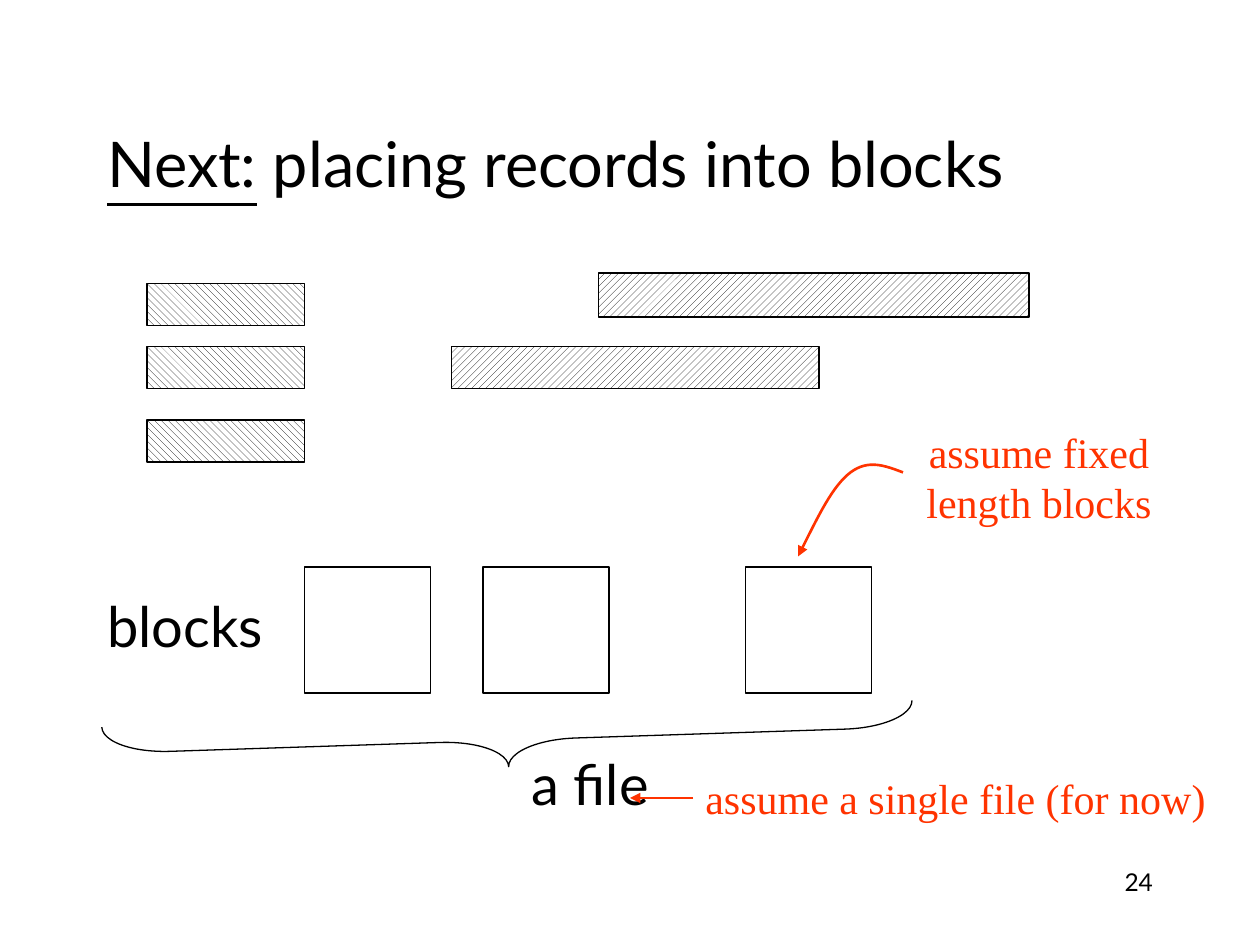
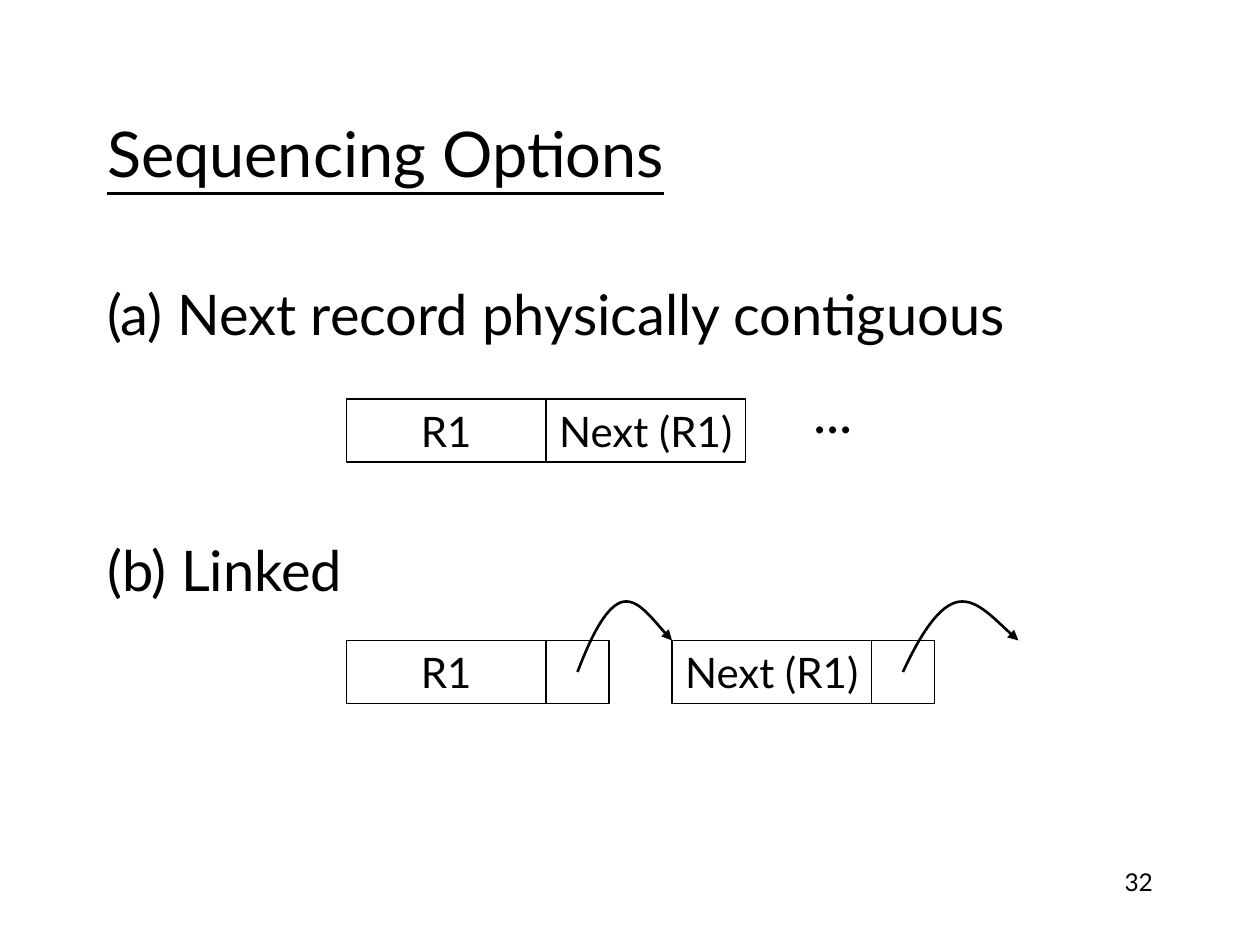
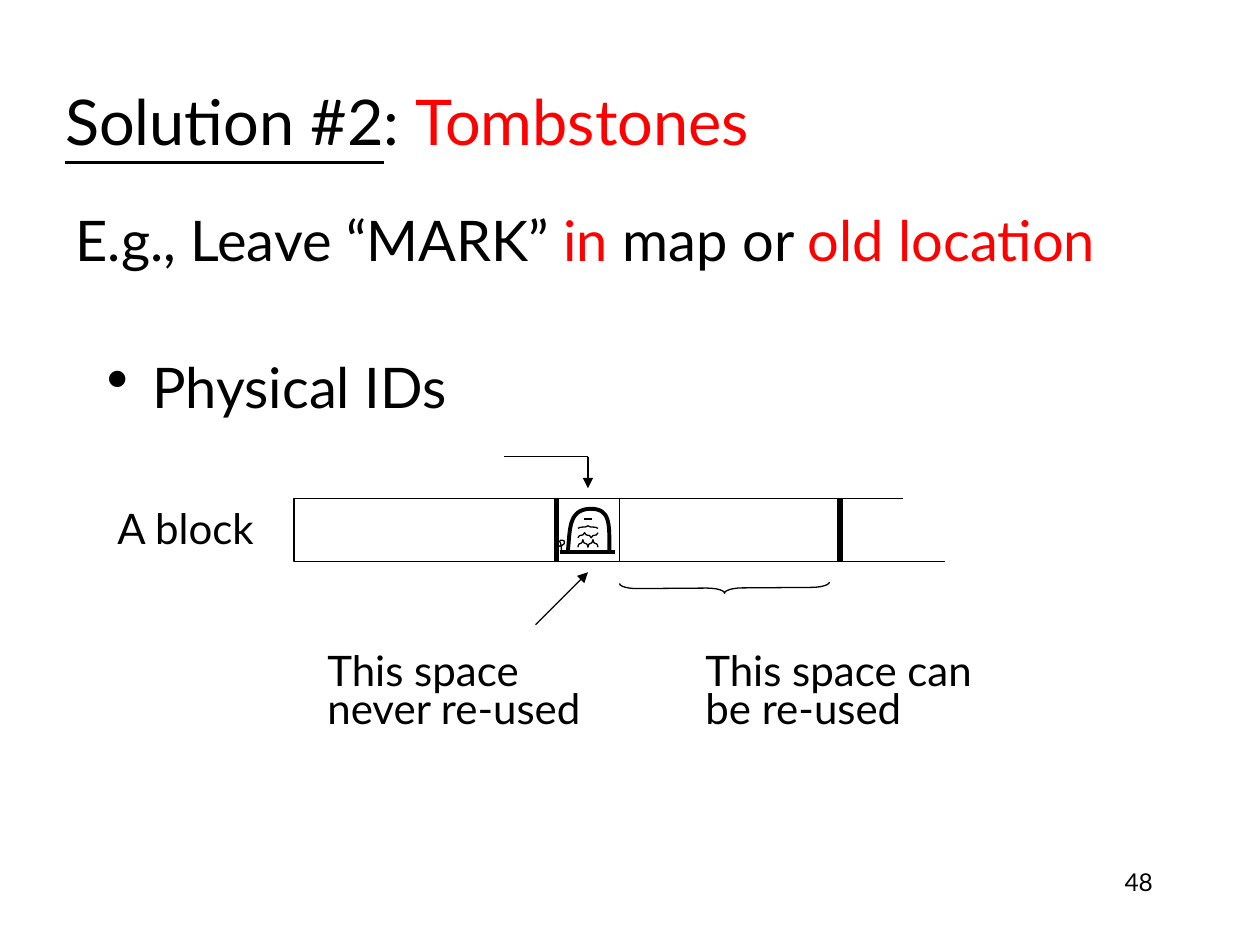
from collections import namedtuple

from lxml import etree
from pptx import Presentation
from pptx.dml.color import RGBColor
from pptx.enum.dml import MSO_PATTERN
from pptx.enum.shapes import MSO_CONNECTOR, MSO_SHAPE
from pptx.enum.text import MSO_ANCHOR, MSO_AUTO_SIZE, PP_ALIGN
from pptx.oxml.ns import qn
from pptx.util import Inches, Pt

COLORS = {"ink": "000000", "paper": "FFFFFF", "note": "FF3300", "stress": "FF0000"}
FONT = "Lato"
NOTE_FONT = "Times New Roman"
LEFT, CENTER, RIGHT = PP_ALIGN.LEFT, PP_ALIGN.CENTER, PP_ALIGN.RIGHT
TOP, MIDDLE = MSO_ANCHOR.TOP, MSO_ANCHOR.MIDDLE
RECTANGLE, BRACE = MSO_SHAPE.RECTANGLE, MSO_SHAPE.RIGHT_BRACE
STRAIGHT = MSO_CONNECTOR.STRAIGHT
DOWN_HATCH = MSO_PATTERN.WIDE_DOWNWARD_DIAGONAL
UP_HATCH = MSO_PATTERN.WIDE_UPWARD_DIAGONAL
NO_FIT = MSO_AUTO_SIZE.NONE
LEFT_SIDE = 1

# The slide is a grid of 120 columns and 90 rows of square cells.
COLUMNS, ROWS = 120, 90
WIDTH, HEIGHT = Inches(10), Inches(7.5)
Box = namedtuple("Box", "left top width height")
BODY_BOX = Box(9, 26, 102, 54)


def rgb(name):
    return RGBColor.from_string(COLORS[name])


def column(count):
    return round(WIDTH * count / COLUMNS)


def row(count):
    return round(HEIGHT * count / ROWS)


def place(box):
    return column(box.left), row(box.top), column(box.width), row(box.height)


def write(frame, *lines, size=24, font=FONT, color="ink", align=LEFT, anchor=TOP,
          wrap=True):
    """Fill a frame; a line is a string or a list of (text, color, underline)."""
    frame.auto_size = NO_FIT
    frame.word_wrap = wrap
    frame.vertical_anchor = anchor
    for index, line in enumerate(lines):
        para = frame.add_paragraph() if index else frame.paragraphs[0]
        para.alignment = align
        para.space_before = Pt(0)
        for text, tint, underline in [(line, color, False)] if isinstance(line, str) else line:
            span = para.add_run()
            span.text = text
            span.font.size = Pt(size)
            span.font.name = font
            span.font.color.rgb = rgb(tint)
            span.font.underline = underline
    return frame


def set_bullet(para, margin=0.0, hanging=0.0, mark=None):
    properties = para._p.get_or_add_pPr()
    properties.set("marL", str(Inches(margin)))
    properties.set("indent", str(-Inches(hanging)))
    if mark:
        etree.SubElement(properties, qn("a:buSzPct"), val="112000")
        etree.SubElement(properties, qn("a:buChar"), char=mark)
    else:
        etree.SubElement(properties, qn("a:buNone"))


def add_label(page, box, *lines, **style):
    label = page.shapes.add_textbox(*place(box))
    write(label.text_frame, *lines, **style)
    return label


def style_line(item, color="ink", weight=0.75, arrow=False):
    item.line.color.rgb = rgb(color)
    item.line.width = Pt(weight)
    if arrow:
        outline = item._element.spPr.find(qn("a:ln"))
        etree.SubElement(outline, qn("a:tailEnd"), type="triangle")


def add_box(page, box, text=None, hatch=None):
    shape = page.shapes.add_shape(RECTANGLE, *place(box))
    shape.shadow.inherit = False
    if hatch:
        shape.fill.patterned()
        shape.fill.pattern = hatch
        shape.fill.fore_color.rgb = rgb("ink")
        shape.fill.back_color.rgb = rgb("paper")
    else:
        shape.fill.solid()
        shape.fill.fore_color.rgb = rgb("paper")
    style_line(shape)
    if text:
        write(shape.text_frame, text, align=CENTER, anchor=MIDDLE, wrap=False)


def add_brace(page, box, rotation, curl):
    brace = page.shapes.add_shape(BRACE, *place(box))
    brace.shadow.inherit = False
    brace.fill.background()
    brace.rotation = rotation
    brace.adjustments[0] = curl
    style_line(brace)


def add_line(page, start, end, **style):
    line = page.shapes.add_connector(
        STRAIGHT, column(start[0]), row(start[1]), column(end[0]), row(end[1]))
    style_line(line, **style)
    etree.SubElement(line._element.spPr, qn("a:effectLst"))
    return line


def add_curve(page, box, points, **style):
    """Draw cubic bends through shares of a box: a start, then two handles and an end each."""
    start, *rest = [(column(box.left + x * box.width), row(box.top + y * box.height))
                    for x, y in points]
    builder = page.shapes.build_freeform(*start)
    builder.add_line_segments(rest, close=False)
    curve = builder.convert_to_shape()
    legs = list(curve._element.iter(qn("a:lnTo")))
    for first, second, third in zip(legs[::3], legs[1::3], legs[2::3]):
        first.tag = qn("a:cubicBezTo")
        for leg in (second, third):
            first.append(leg[0])
            leg.getparent().remove(leg)
    curve.shadow.inherit = False
    curve.fill.background()
    style_line(curve, **style)


def start_page(deck, number, title, title_box):
    page = deck.slides.add_slide(deck.slide_layouts[1])
    heading = page.shapes.title
    heading.left, heading.top, heading.width, heading.height = place(title_box)
    write(heading.text_frame, title, size=36, anchor=MIDDLE)
    add_label(page, Box(86, 82, 25, 6), number, size=14, align=RIGHT)
    return page


def fill_body(page, box, *lines):
    body = page.placeholders[1]
    body.left, body.top, body.width, body.height = place(box)
    frame = write(body.text_frame, *lines, size=32)
    for para in frame.paragraphs:
        set_bullet(para)
    return frame


def draw_records(page, box):
    for top in (1, 7, 14):
        add_box(page, Box(box.left, box.top + top, 15, 4), hatch=DOWN_HATCH)
    for left, top, width, height in ((43, 0, 41, 4.2), (29, 7, 35, 4)):
        add_box(page, Box(box.left + left, box.top + top, width, height), hatch=UP_HATCH)


def draw_file(page, box):
    """Blocks of a file in a row, gathered by a brace, with notes beside them."""
    left, top = box.left, box.top
    for offset in (0, 17, 42):
        add_box(page, Box(left + offset, top, box.height, box.height))
    add_brace(page, Box(left + 16.84, top - 22.1, 5.04, 77.2), 88.1, 1.28)
    note = {"color": "note", "font": NOTE_FONT, "align": CENTER, "anchor": MIDDLE,
            "wrap": False}
    pointed = {"color": "note", "weight": 1.5, "arrow": True}
    add_label(page, Box(left + 58, top - 14, 23.9, 10.8),
              "assume fixed", "length blocks", **note)
    bend = [(1, 0), (0.83, -0.08), (0.67, -0.16), (0.5, 0),
            (0.33, 0.16), (0.17, 0.58), (0, 1)]
    add_curve(page, Box(left + 47, top - 9, 10, 8), bend, **pointed)
    single = add_label(page, Box(left + 37, top + 19, 50, 6),
                       "assume a single file (for now)", **note)
    pointer = add_line(page, (left + 37, top + 22), (left + 31, top + 22), **pointed)
    pointer.begin_connect(single, LEFT_SIDE)


def draw_contiguous(page, box):
    for index, text in enumerate(("R1", "Next (R1)")):
        add_box(page, Box(box.left + 19 * index, box.top, 19, box.height), text)
    add_label(page, Box(box.left + 43.3, box.top - 2.6, 10, 7), "...", size=32)


def draw_linked(page, box):
    """Records that each end in a pointer cell, from which an arrow hops on."""
    hop = [(0, 1), (0.14, 0.45), (0.29, 0), (0.45, -0.1),
           (0.62, -0.2), (0.81, 0.2), (1, 0.5)]
    for offset, text, reach in ((0, "R1", 9), (31, "Next (R1)", 11)):
        left = box.left + offset
        add_box(page, Box(left, box.top, 19, box.height), text)
        add_box(page, Box(left + 19, box.top, 6, box.height))
        add_curve(page, Box(left + 22, box.top - 3, reach, 6), hop,
                  weight=1.5, arrow=True)


def draw_tombstone(page, box):
    """A rounded stone on the ground with wavy writing and a flower beside it."""
    ground = box.top + 0.84 * box.height
    add_line(page, (box.left + 0.3, ground), (box.left + 5.6, ground), weight=2.25)
    stone = [(0.18, 0.84), (0.22, 0.5), (0.18, 0.17), (0.54, 0.16),
             (0.86, 0.16), (0.84, 0.4), (0.84, 0.84)]
    add_curve(page, box, stone, weight=2.25)
    flower = [(0.08, 0.84), (0.08, 0.6), (0, 0.66), (0.02, 0.74),
              (0.1, 0.8), (0.2, 0.64), (0.06, 0.66)]
    add_curve(page, box, flower)
    for line, bends in enumerate((1, 2, 3, 4)):
        steps = 3 * bends
        start = 0.34 if line else 0.44
        wave = [(start + (1 - 2 * start) * step / steps,
                 0.32 + 0.13 * line + 0.02 * line * (-1) ** step)
                for step in range(steps + 1)]
        add_curve(page, box, wave)


def draw_block(page, box):
    """A block with a marked cell, freed space after it and an open end."""
    left, top, bottom = box.left, box.top, box.top + box.height
    grave = Box(left + 25, top, 6, box.height)
    center = grave.left + grave.width / 2
    end = left + box.width
    for cell in (Box(left, top, 25, box.height), grave,
                 Box(left + 31, top, 21, box.height)):
        add_box(page, cell)
    draw_tombstone(page, grave)
    add_line(page, (end, top), (end + 6, top))
    add_line(page, (end, bottom), (end + 10, bottom))
    for edge in (grave.left, end):
        add_line(page, (edge, top), (edge, bottom), weight=3)
    add_line(page, (center, top - 4), (center - 8, top - 4))
    add_line(page, (center, top - 4), (center, top - 1), arrow=True)
    add_line(page, (center - 5, bottom + 6), (center, bottom + 1), arrow=True)
    add_brace(page, Box(left + 40.5, top - 1.5, 1, 20), 89.6, 1.7)
    add_label(page, Box(left - 18, top - 0.2, 17, 6), "A block")
    for offset, lines in ((2, ("This space", "never re-used")),
                          (38, ("This space can", "be re-used"))):
        label = add_label(page, Box(left + offset, top + 13.3, 30, 9), *lines)
        label.text_frame.paragraphs[1].line_spacing = 0.73


def build_placing(deck):
    title = [("Next:", "ink", True), (" placing records into blocks", "ink", False)]
    page = start_page(deck, "24", title, Box(9, 8, 102, 15))
    frame = fill_body(page, BODY_BOX, "blocks", "a file")
    frame.margin_top = Inches(2.53)
    frame.paragraphs[1].space_before = Pt(52)
    frame.paragraphs[1]._p.pPr.set("marL", str(Inches(3.37)))
    draw_records(page, Box(14, 26, 84, 18))
    draw_file(page, Box(29, 54, 54, 12))


def build_sequencing(deck):
    page = start_page(deck, "32", [("Sequencing Options", "ink", True)],
                      Box(9, 8, 102, 13))
    frame = fill_body(page, BODY_BOX, "(a) Next record physically contiguous",
                      "(b) Linked")
    frame.paragraphs[1].space_before = Pt(108)
    draw_contiguous(page, Box(33, 38, 38, 6))
    draw_linked(page, Box(33, 61, 56, 6))


def build_tombstones(deck):
    title = [("Solution #2", "ink", True), (": ", "ink", False),
             ("Tombstones", "stress", False)]
    page = start_page(deck, "48", title, Box(5, 4, 102, 15))
    fill_body(page, Box(6, 19, 102, 8),
              [("E.g., Leave “MARK” ", "ink", False), ("in", "stress", False),
               (" map or ", "ink", False), ("old location", "stress", False)])
    item = add_label(page, Box(9, 31.8, 41, 10), "Physical IDs", size=32, anchor=MIDDLE)
    set_bullet(item.text_frame.paragraphs[0], 0.36, 0.36, "•")
    draw_block(page, Box(28, 47.5, 52, 6))


def main():
    deck = Presentation()
    deck.slide_width, deck.slide_height = WIDTH, HEIGHT
    for build in (build_placing, build_sequencing, build_tombstones):
        build(deck)
    deck.save("out.pptx")


if __name__ == "__main__":
    main()
